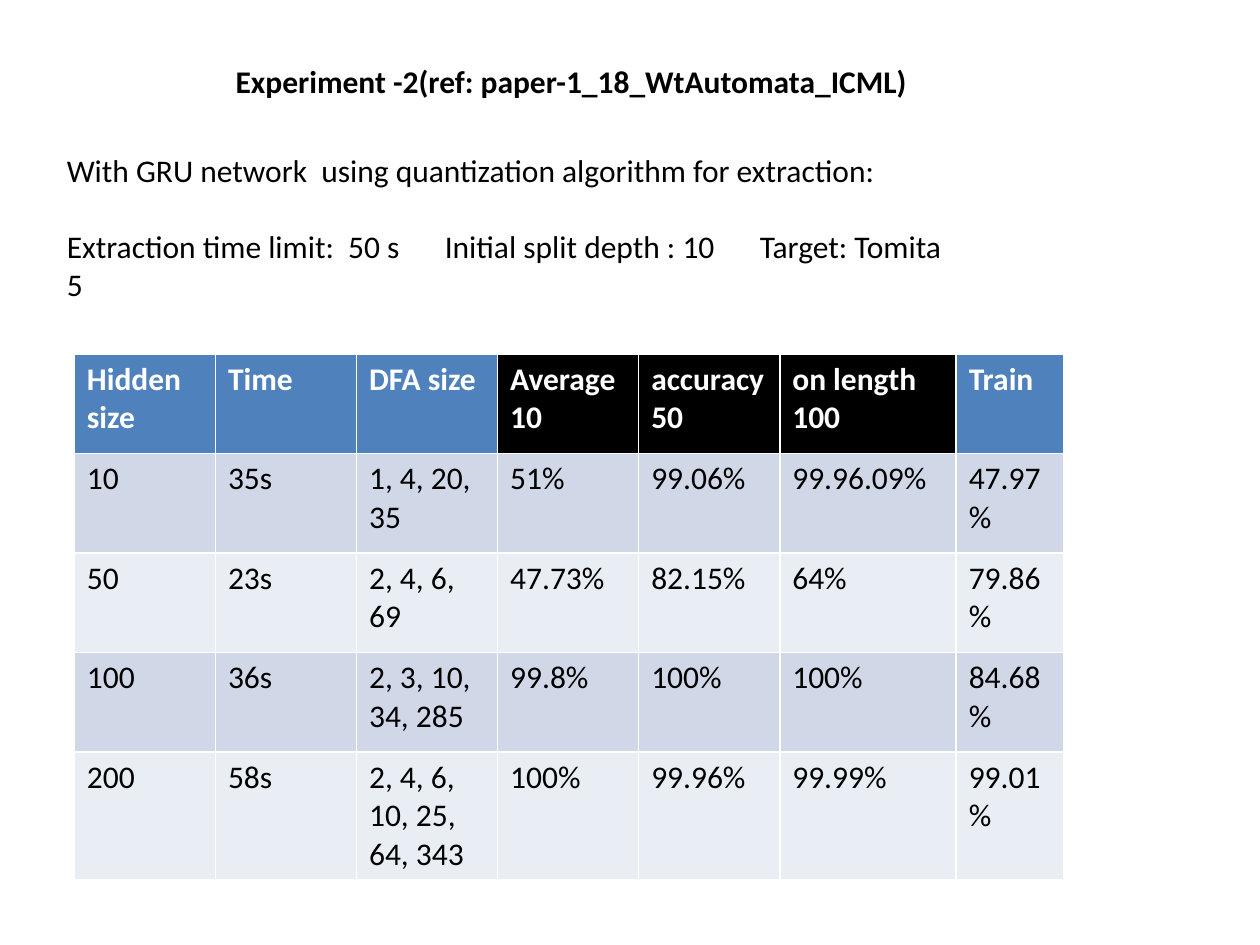
"""Build the slide with the results of the second extraction experiment."""
from typing import NamedTuple

from lxml import etree
from pptx import Presentation
from pptx.dml.color import RGBColor
from pptx.enum.text import MSO_ANCHOR, MSO_AUTO_SIZE, PP_ALIGN
from pptx.oxml.ns import qn
from pptx.util import Inches, Pt

LEFT = PP_ALIGN.LEFT
TOP = MSO_ANCHOR.TOP
NO_AUTOFIT = MSO_AUTO_SIZE.NONE
BLACK = RGBColor(0x00, 0x00, 0x00)
WHITE = RGBColor(0xFF, 0xFF, 0xFF)
BLUE = RGBColor(0x4F, 0x81, 0xBD)
BANDS = (RGBColor(0xD0, 0xD8, 0xE8), RGBColor(0xE9, 0xED, 0xF4))
FONT = "Calibri"
TEXT_SIZE = Pt(18)
ROW_HEIGHT = 0.79
TAB_STOPS = (2.87, 5.23)


class Column(NamedTuple):
    """A table column with its heading, width, heading fill and values."""
    heading: str
    width: float
    fill: RGBColor
    values: tuple[str, ...]


TITLE = "Experiment -2(ref: paper-1_18_WtAutomata_ICML)"
SETTINGS = (
    "With GRU network  using quantization algorithm for extraction:",
    "Extraction time limit:  50 s\tInitial split depth : 10\tTarget: Tomita 5",
)
COLUMNS = (
    Column("Hidden size", 1.12, BLUE, ("10", "50", "100", "200")),
    Column("Time", 1.12, BLUE, ("35s", "23s", "36s", "58s")),
    Column("DFA size", 1.12, BLUE,
           ("1, 4, 20, 35", "2, 4, 6, 69", "2, 3, 10, 34, 285", "2, 4, 6, 10, 25, 64, 343")),
    Column("Average\n10", 1.12, BLACK, ("51%", "47.73%", "99.8%", "100%")),
    Column("accuracy\n50", 1.12, BLACK, ("99.06%", "82.15%", "100%", "99.96%")),
    Column("on length\n100", 1.4, BLACK, ("99.96.09%", "64%", "100%", "99.99%")),
    Column("Train", 0.85, BLUE, ("47.97%", "79.86%", "84.68%", "99.01%")),
)


def format_text(frame, color: RGBColor, bold: bool) -> None:
    """Give every run of a text frame the slide's type style."""
    for para in frame.paragraphs:
        para.alignment = LEFT
        for span in para.runs:
            span.font.name = FONT
            span.font.size = TEXT_SIZE
            span.font.bold = bold
            span.font.color.rgb = color


def fill_placeholder(box, place: tuple[float, ...], text: str, bold: bool) -> None:
    """Move a placeholder and set its text from the top left."""
    box.left, box.top, box.width, box.height = (Inches(value) for value in place)
    frame = box.text_frame
    frame.text = text
    frame.word_wrap = True
    frame.auto_size = NO_AUTOFIT
    frame.vertical_anchor = TOP
    format_text(frame, BLACK, bold)


def set_plain_with_tabs(para) -> None:
    """Remove the bullet and indent of a paragraph and add the tab stops."""
    properties = para._p.get_or_add_pPr()
    properties.set("marL", "0")
    properties.set("indent", "0")
    etree.SubElement(properties, qn("a:buNone"))
    tabs = etree.SubElement(properties, qn("a:tabLst"))
    for stop in TAB_STOPS:
        etree.SubElement(tabs, qn("a:tab"), pos=str(Inches(stop)), algn="l")


def fill_cell(cell, text: str, fill: RGBColor, color: RGBColor, bold: bool) -> None:
    """Write and colour one table cell."""
    cell.text = text
    cell.fill.solid()
    cell.fill.fore_color.rgb = fill
    format_text(cell.text_frame, color, bold)


def add_results(page, columns: tuple[Column, ...]) -> None:
    """Add the results table."""
    row_count = len(columns[0].values) + 1
    width = sum(column.width for column in columns)
    table = page.shapes.add_table(
        row_count, len(columns), Inches(0.59), Inches(2.81),
        Inches(width), Inches(ROW_HEIGHT * row_count)).table
    for index, column in enumerate(columns):
        table.columns[index].width = Inches(column.width)
        fill_cell(table.cell(0, index), column.heading, column.fill, WHITE, True)
        for row, value in enumerate(column.values):
            fill_cell(table.cell(row + 1, index), value, BANDS[row % 2], BLACK, False)


def main() -> None:
    """Build and save the deck."""
    deck = Presentation()
    deck.slide_width, deck.slide_height = Inches(10), Inches(7.5)
    page = deck.slides.add_slide(deck.slide_layouts[1])
    fill_placeholder(page.shapes.title, (1.77, 0.44, 5.58, 0.71), TITLE, True)
    body = page.placeholders[1]
    fill_placeholder(body, (0.43, 1.15, 7.27, 1.62), "\n".join(SETTINGS), False)
    for index, para in enumerate(body.text_frame.paragraphs):
        para.space_before = Pt(21.6 * index)
        set_plain_with_tabs(para)
    add_results(page, COLUMNS)
    deck.save("out.pptx")


main()
